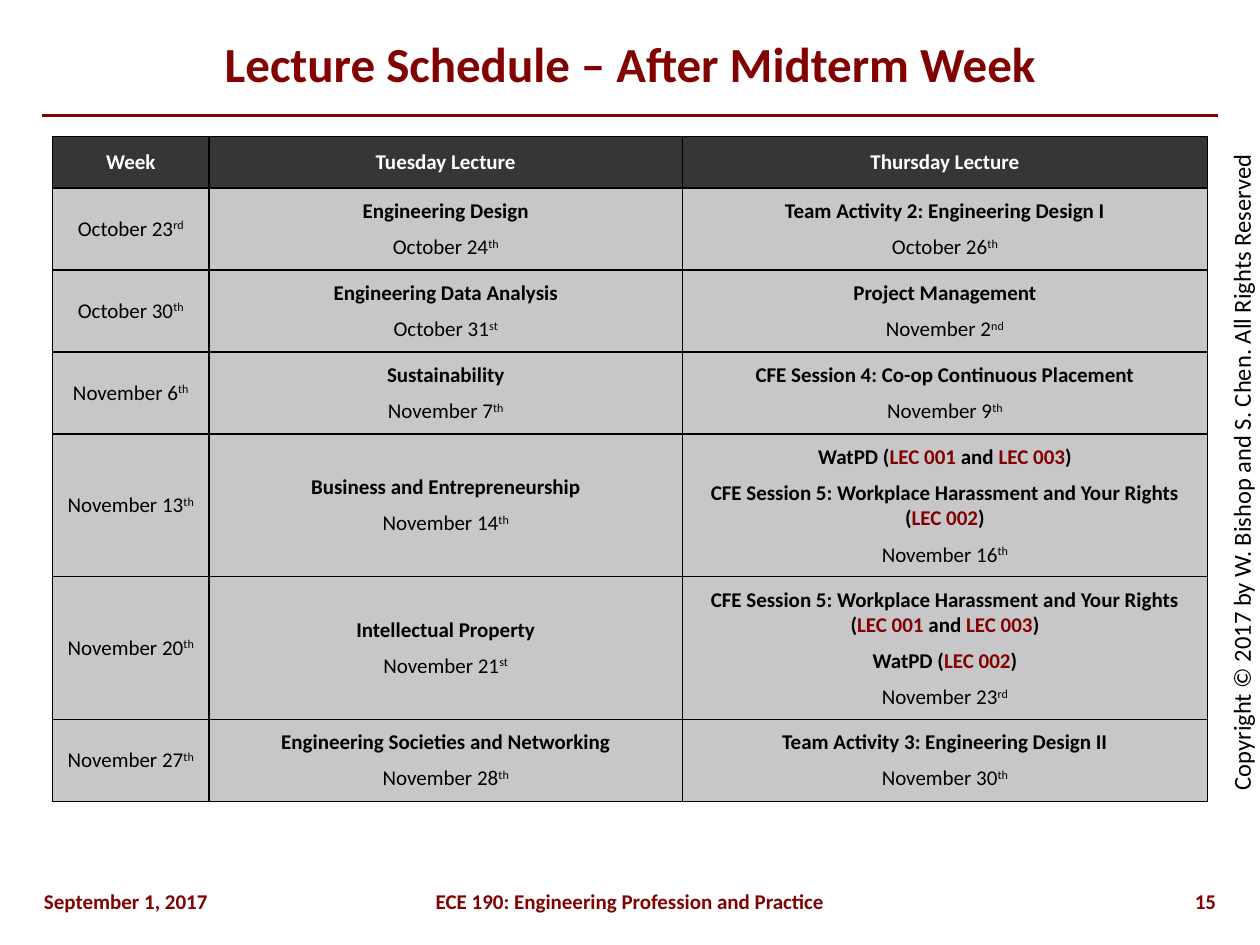
from lxml.etree import SubElement
from pptx import Presentation
from pptx.dml.color import RGBColor
from pptx.enum.shapes import MSO_CONNECTOR
from pptx.enum.text import MSO_ANCHOR, PP_ALIGN
from pptx.oxml.ns import qn
from pptx.util import Pt

COLORS = {
    "maroon": "820101",
    "black": "000000",
    "white": "FFFFFF",
    "header": "363639",
    "body": "C7C7CA",
}
FONT = "Calibri"
COLUMN_WIDTHS = (89.5, 270.5, 300)
HEADER_HEIGHT, ROW_HEIGHT = 29.5, 42.5
HEADINGS = ("Week", "Tuesday Lecture", "Thursday Lecture")

# Each cell is a list of topics and a date; square brackets mark maroon text
HARASSMENT = "CFE Session 5: Workplace Harassment and Your Rights"
SCHEDULE = [
    ("October 23",
     (["Engineering Design"], "October 24"),
     (["Team Activity 2: Engineering Design I"], "October 26")),
    ("October 30",
     (["Engineering Data Analysis"], "October 31"),
     (["Project Management"], "November 2")),
    ("November 6",
     (["Sustainability"], "November 7"),
     (["CFE Session 4: Co-op Continuous Placement"], "November 9")),
    ("November 13",
     (["Business and Entrepreneurship"], "November 14"),
     (["WatPD ([LEC 001] and [LEC 003])", HARASSMENT + " ([LEC 002])"],
      "November 16")),
    ("November 20",
     (["Intellectual Property"], "November 21"),
     ([HARASSMENT + " ([LEC 001] and [LEC 003])", "WatPD ([LEC 002])"],
      "November 23")),
    ("November 27",
     (["Engineering Societies and Networking"], "November 28"),
     (["Team Activity 3: Engineering Design II"], "November 30")),
]


def color(name):
    return RGBColor.from_string(COLORS[name])


def style_paragraph(paragraph, size, color_name, bold, align):
    paragraph.alignment = align
    font = paragraph.font
    font.name, font.size, font.bold = FONT, Pt(size), bold
    font.color.rgb = color(color_name)


def add_text(slide, text, left, top, width, height, size=12,
             color_name="maroon", bold=True, align=PP_ALIGN.CENTER,
             anchor=MSO_ANCHOR.TOP, rotation=0):
    box = slide.shapes.add_textbox(Pt(left), Pt(top), Pt(width), Pt(height))
    box.rotation = rotation
    frame = box.text_frame
    frame.word_wrap = True
    frame.vertical_anchor = anchor
    paragraph = frame.paragraphs[0]
    paragraph.text = text
    style_paragraph(paragraph, size, color_name, bold, align)


def add_rule(slide, left, right, y):
    rule = slide.shapes.add_connector(
        MSO_CONNECTOR.STRAIGHT, Pt(left), Pt(y), Pt(right), Pt(y))
    rule.line.color.rgb = color("maroon")
    rule.line.width = Pt(2.25)
    SubElement(rule._element.spPr, qn("a:effectLst"))


def ordinal_suffix(day):
    if 11 <= day <= 13:
        return "th"
    return {1: "st", 2: "nd", 3: "rd"}.get(day % 10, "th")


def write_topic(paragraph, topic):
    style_paragraph(paragraph, 12, "black", True, PP_ALIGN.CENTER)
    for index, part in enumerate(topic.replace("]", "[").split("[")):
        run = paragraph.add_run()
        run.text = part
        if index % 2:
            run.font.color.rgb = color("maroon")


def write_date(paragraph, date):
    style_paragraph(paragraph, 12, "black", False, PP_ALIGN.CENTER)
    paragraph.add_run().text = date
    suffix = paragraph.add_run()
    suffix.text = ordinal_suffix(int(date.split()[-1]))
    suffix._r.get_or_add_rPr().set("baseline", "30000")


def write_lecture(cell, topics, date):
    frame = cell.text_frame
    for index, topic in enumerate(topics):
        paragraph = frame.add_paragraph() if index else frame.paragraphs[0]
        if index:
            paragraph.space_before = Pt(6)
        write_topic(paragraph, topic)
    date_paragraph = frame.add_paragraph()
    date_paragraph.space_before = Pt(6)
    write_date(date_paragraph, date)


def format_cell(cell, fill_name):
    cell.vertical_anchor = MSO_ANCHOR.MIDDLE
    cell.margin_left = cell.margin_right = Pt(6)
    cell.margin_top = cell.margin_bottom = Pt(6)
    # Borders come before the fill in the cell properties
    properties = cell._tc.get_or_add_tcPr()
    for side in ("lnL", "lnR", "lnT", "lnB"):
        border = SubElement(properties, qn(f"a:{side}"), w=str(Pt(1)))
        fill = SubElement(border, qn("a:solidFill"))
        SubElement(fill, qn("a:srgbClr"), val=COLORS["black"])
    cell.fill.solid()
    cell.fill.fore_color.rgb = color(fill_name)


def add_schedule(slide, left, top, height):
    table_frame = slide.shapes.add_table(
        len(SCHEDULE) + 1, len(HEADINGS), Pt(left), Pt(top),
        Pt(sum(COLUMN_WIDTHS)), Pt(height))
    table = table_frame.table
    table.first_row = table.horz_banding = False
    for column, width in zip(table.columns, COLUMN_WIDTHS):
        column.width = Pt(width)
    for index, row in enumerate(table.rows):
        row.height = Pt(ROW_HEIGHT if index else HEADER_HEIGHT)
        for cell in row.cells:
            format_cell(cell, "body" if index else "header")
    table_frame.height = Pt(height)

    for index, heading in enumerate(HEADINGS):
        paragraph = table.cell(0, index).text_frame.paragraphs[0]
        paragraph.text = heading
        style_paragraph(paragraph, 12, "white", True, PP_ALIGN.CENTER)
    for index, (week, *lectures) in enumerate(SCHEDULE, start=1):
        write_date(table.cell(index, 0).text_frame.paragraphs[0], week)
        for column, (topics, date) in enumerate(lectures, start=1):
            write_lecture(table.cell(index, column), topics, date)


def main():
    presentation = Presentation()
    presentation.slide_width, presentation.slide_height = Pt(720), Pt(540)
    slide = presentation.slides.add_slide(presentation.slide_layouts[6])

    # Rule and sideways copyright line
    add_rule(slide, 24, 696, 66)
    add_text(slide,
             "Copyright © 2017 by W. Bishop and S. Chen. All Rights Reserved",
             451.5, 257.75, 516, 24.5, size=14, color_name="black",
             bold=False, rotation=270)

    # Title and schedule
    add_text(slide, "Lecture Schedule – After Midterm Week", 24, 12, 672, 48,
             size=28, anchor=MSO_ANCHOR.MIDDLE)
    add_schedule(slide, 30, 78, 376)

    # Footer
    add_text(slide, "September 1, 2017", 18, 504, 126, 18,
             align=PP_ALIGN.LEFT)
    add_text(slide, "ECE 190: Engineering Profession and Practice",
             120, 504, 480, 18)
    add_text(slide, "15", 612, 504, 90, 18, align=PP_ALIGN.RIGHT)

    presentation.save("out.pptx")


if __name__ == "__main__":
    main()
